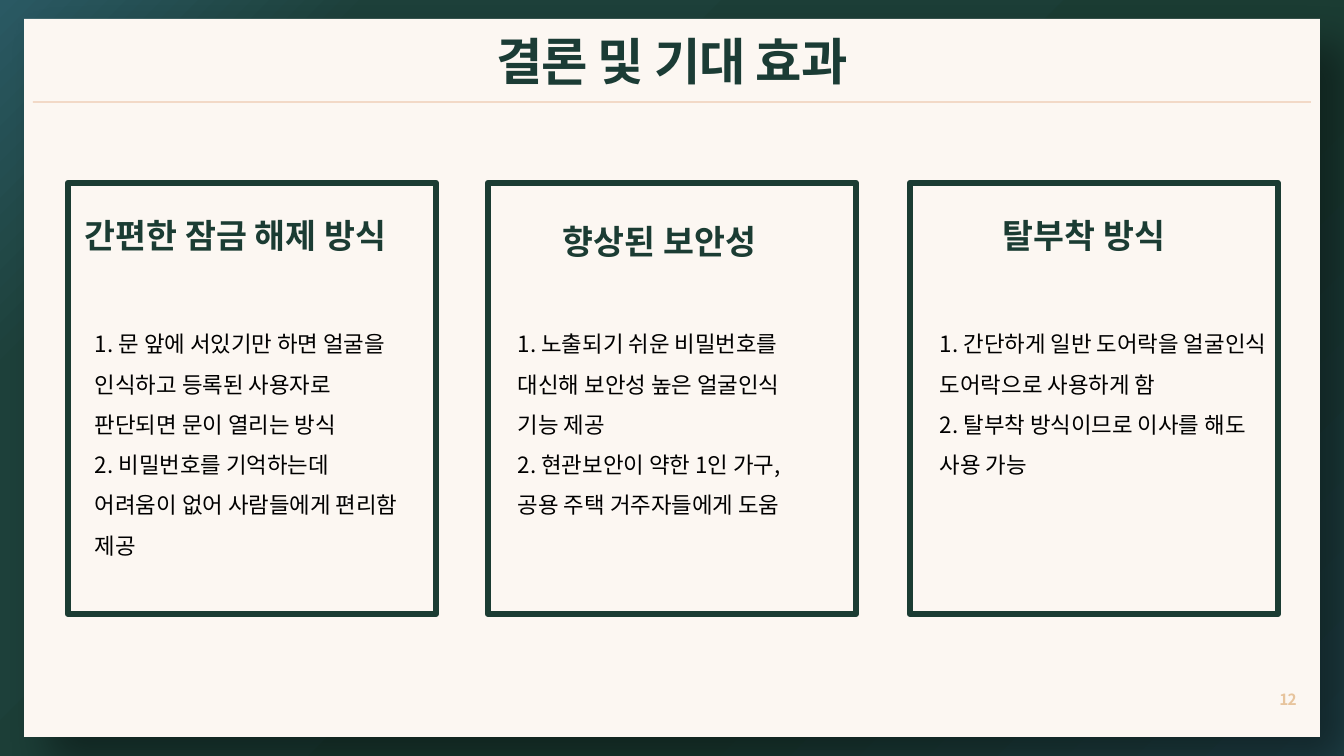
from lxml import etree
from pptx import Presentation
from pptx.dml.color import RGBColor
from pptx.enum.shapes import MSO_CONNECTOR, MSO_SHAPE
from pptx.enum.text import MSO_ANCHOR, MSO_AUTO_SIZE, PP_ALIGN
from pptx.oxml import parse_xml
from pptx.oxml.ns import nsdecls, qn
from pptx.util import Pt

LINE = MSO_CONNECTOR.STRAIGHT
RECT, ROUND = MSO_SHAPE.RECTANGLE, MSO_SHAPE.ROUNDED_RECTANGLE
MIDDLE, TOP = MSO_ANCHOR.MIDDLE, MSO_ANCHOR.TOP
CENTER, LEFT = PP_ALIGN.CENTER, PP_ALIGN.LEFT
GROW, FIXED = MSO_AUTO_SIZE.SHAPE_TO_FIT_TEXT, MSO_AUTO_SIZE.NONE

FACE = "Noto Sans CJK KR"
PX = 914400 / 100.8
COLORS = {"panel": "FCF7F2", "rule": "E3AB83", "page": "E7C49D",
          "title": "1B3C35", "frame": "1B3C33", "body": "000000"}
STOPS = [(0, "1F4148"), (33, "1B3C33"), (82, "1D403A"), (100, "2A5963")]

TITLE = {"size": 36, "bold": True, "color": "title", "spc": -60}
PAGE = {"size": 11, "bold": True, "color": "page", "spc": -60}
HEAD = {"size": 24, "bold": True, "color": "frame"}
BODY = {"size": 16, "bold": False, "color": "body"}
FLUSH = {"margin_left": 0, "margin_top": 0, "margin_right": 0,
         "margin_bottom": 0, "vertical_anchor": MIDDLE,
         "word_wrap": True, "auto_size": FIXED}
TIGHT = {"word_wrap": False, "vertical_anchor": TOP, "auto_size": GROW}
WRAP = {**TIGHT, "word_wrap": True}

# frame left, heading and its box, body box and its paragraphs
CARDS = [
    (68, "간편한 잠금 해제 방식", (75, 210, 362, 50), (85, 312, 332, 249),
     ["1. 문 앞에 서있기만 하면 얼굴을 인식하고 등록된 사용자로 판단되면 문이 열리는 방식",
      "2. 비밀번호를 기억하는데 어려움이 없어 사람들에게 편리함 제공"]),
    (488, "향상된 보안성", (553, 216, 236, 50), (508, 312, 322, 209),
     ["1. 노출되기 쉬운 비밀번호를 대신해 보안성 높은 얼굴인식 기능 제공",
      "2. 현관보안이 약한 1인 가구, 공용 주택 거주자들에게 도움"]),
    (910, "탈부착 방식", (993, 210, 202, 50), (930, 312, 348, 167),
     ["1. 간단하게 일반 도어락을 얼굴인식 도어락으로 사용하게 함",
      "2. 탈부착 방식이므로 이사를 해도 사용 가능"]),
]


def emu(*sizes):
    return [round(size * PX) for size in sizes]


def rgb(name):
    return RGBColor.from_string(COLORS[name])


def style(run, look):
    font = run.font
    for key, value in {"name": FACE, "size": Pt(look["size"]),
                       "bold": look["bold"]}.items():
        setattr(font, key, value)
    font.color.rgb = rgb(look["color"])
    props = run._r.get_or_add_rPr()
    if "spc" in look:
        props.set("spc", str(look["spc"]))
    etree.SubElement(props, qn("a:ea")).set("typeface", FACE)


def write(shape, lines, look, frame, align=LEFT, space=1.0):
    text = shape.text_frame
    for key, value in frame.items():
        setattr(text, key, value)
    for index, line in enumerate(lines):
        para = text.paragraphs[0] if index == 0 else text.add_paragraph()
        para.alignment, para.line_spacing = align, space
        run = para.add_run()
        run.text = line
        style(run, look)


def label(slide, box, *args, **more):
    write(slide.shapes.add_textbox(*emu(*box)), *args, **more)


def paint(slide):
    """Fill the background with a radial gradient from the bottom right."""
    slide.background.fill.gradient()
    old = slide.element.find(".//" + qn("a:gradFill"))
    stops = "".join(f'<a:gs pos="{pos * 1000}"><a:srgbClr val="{color}"/></a:gs>'
                    for pos, color in STOPS)
    old.getparent().replace(old, parse_xml(
        f'<a:gradFill {nsdecls("a")} rotWithShape="1"><a:gsLst>{stops}</a:gsLst>'
        '<a:path path="circle"><a:fillToRect l="100000" t="100000"/></a:path>'
        '</a:gradFill>'))


def panel(slide):
    shape = slide.shapes.add_shape(ROUND, *emu(24, 19, 1296, 718))
    shape.adjustments[0] = 0
    shape.fill.solid()
    shape.fill.fore_color.rgb = rgb("panel")
    shape.line.fill.background()
    shape.element.spPr.append(parse_xml(
        f'<a:effectLst {nsdecls("a")}><a:outerShdw blurRad="{Pt(30)}" '
        f'dist="{Pt(26)}" dir="2700000" algn="tl" rotWithShape="0">'
        '<a:srgbClr val="000000"><a:alpha val="40000"/></a:srgbClr>'
        '</a:outerShdw></a:effectLst>'))
    slide.shapes.element.insert(2, shape.element)  # behind the title


def rule(slide):
    line = slide.shapes.add_connector(LINE, *emu(33, 102, 1311, 102))
    line.line.width = Pt(1)
    line.line.color.rgb = rgb("rule")
    color = line.element.spPr.find(".//" + qn("a:srgbClr"))
    etree.SubElement(color, qn("a:alpha")).set("val", "58000")
    etree.SubElement(line.element.spPr, qn("a:effectLst"))


def title(slide, text):
    shape = slide.shapes.title
    box = emu(33, 29, 1278, 62)
    for key, value in zip(("left", "top", "width", "height"), box):
        setattr(shape, key, value)
    write(shape, [text], TITLE, FLUSH, align=CENTER)


def card(slide, left, head, spot, area, lines):
    frame = slide.shapes.add_shape(RECT, *emu(left, 183, 368, 431))
    frame.shadow.inherit = False
    frame.fill.background()
    frame.line.color.rgb = rgb("frame")
    frame.line.width = Pt(4.5)
    label(slide, spot, [head], HEAD, TIGHT)
    label(slide, area, lines, BODY, WRAP, space=1.5)


def main():
    deck = Presentation()
    deck.slide_width, deck.slide_height = emu(1344, 756)
    slide = deck.slides.add_slide(deck.slide_layouts[5])
    paint(slide)
    panel(slide)
    rule(slide)
    title(slide, "결론 및 기대 효과")
    for item in CARDS:
        card(slide, *item)
    label(slide, (1256, 688, 64, 22), ["12"], PAGE, FLUSH, align=CENTER)
    deck.save("out.pptx")


if __name__ == "__main__":
    main()
